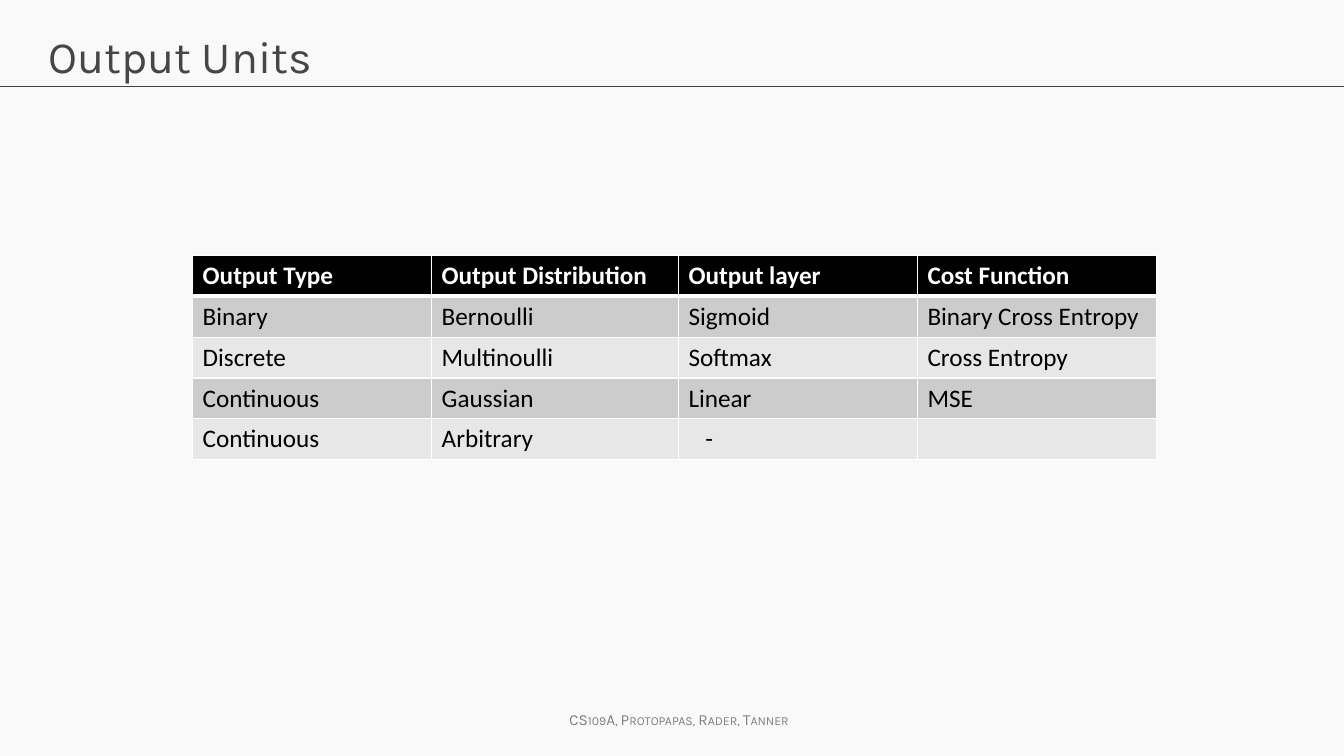
from lxml.etree import SubElement as Sub
from pptx import Presentation
from pptx.dml.color import RGBColor
from pptx.enum.shapes import MSO_CONNECTOR as Conn
from pptx.enum.text import MSO_ANCHOR as Anchor, PP_ALIGN as Align
from pptx.oxml import parse_xml
from pptx.oxml.ns import nsdecls, qn
from pptx.util import Pt

WIDE, HIGH = 960, 540
ROWS = [
    ["Output Type", "Output Distribution", "Output layer", "Cost Function"],
    ["Binary", "Bernoulli", "Sigmoid", "Binary Cross Entropy"],
    ["Discrete", "Multinoulli", "Softmax", "Cross Entropy"],
    ["Continuous", "Gaussian", "Linear", "MSE"],
    ["Continuous", "Arbitrary", "-", ""],
]


def tint(code):
    return RGBColor.from_string(code)


def write(frame, text, font="Calibri", size=18, color="000000", bold=False,
          align=Align.LEFT, caps=False, indent=0):
    para = frame.paragraphs[0]
    para.alignment = align
    if indent:
        para._p.get_or_add_pPr().set("marL", str(Pt(indent)))
    para.font.size = Pt(size)
    if not text:
        return
    run = para.add_run()
    run.text = text
    run.font.name, run.font.size, run.font.bold = font, Pt(size), bold
    run.font.color.rgb = tint(color)
    if caps:
        run._r.get_or_add_rPr().set("cap", "small")


def label(slide, box, text, wrap=True, **style):
    frame = slide.shapes.add_textbox(*map(Pt, box)).text_frame
    frame.word_wrap = wrap
    frame.vertical_anchor = Anchor.TOP
    write(frame, text, **style)


def border(cell, color, **widths):
    props = cell._tc.get_or_add_tcPr()
    for spot, (side, width) in enumerate(widths.items()):
        props.insert(spot, parse_xml(
            f'<a:ln{side} {nsdecls("a")} w="{Pt(width)}"><a:solidFill>'
            f'<a:srgbClr val="{color}"/></a:solidFill></a:ln{side}>'))


def header(slide, box):
    left, top, width, height = box
    # Rule across the slide
    rule = slide.shapes.add_connector(
        Conn.STRAIGHT, Pt(left), Pt(top + height), Pt(left + width), Pt(top + height))
    rule.line.color.rgb = tint("404040")
    rule.line.width = Pt(0.75)
    Sub(rule._element.spPr, qn("a:effectLst"))
    # Title
    label(slide, (left + 27.4, top + 17.3, width - 55, 60.5), "Output Units",
          font="Karla", size=32, color="464646")


def grid(slide, box):
    left, top, width, height = box
    table = slide.shapes.add_table(len(ROWS), len(ROWS[0]), *map(Pt, box)).table
    # The second column is slightly wider than the others
    extra = 5.6
    for num, col in enumerate(table.columns):
        col.width = Pt((width - extra) / len(ROWS[0]) + extra * (num == 1))
    for num, row in enumerate(ROWS):
        table.rows[num].height = Pt(height / len(ROWS))
        head = num == 0
        back = "000000" if head else ("E7E7E7", "CCCCCC")[num % 2]
        for col, text in enumerate(row):
            cell = table.cell(num, col)
            cell.fill.solid()
            cell.fill.fore_color.rgb = tint(back)
            border(cell, "FFFFFF", L=1, R=1, T=3 if num == 1 else 1, B=3 if head else 1)
            write(cell.text_frame, text, bold=head,
                  color="FFFFFF" if head else "000000",
                  indent=12 if text == "-" else 0)


def footer(slide, box):
    label(slide, box, "CS109A, Protopapas, Rader, Tanner", wrap=False,
          font="Karla", size=11, color="808080", align=Align.CENTER, caps=True)


def main():
    deck = Presentation()
    deck.slide_width, deck.slide_height = Pt(WIDE), Pt(HIGH)
    slide = deck.slides.add_slide(deck.slide_layouts[6])
    slide.background.fill.solid()
    slide.background.fill.fore_color.rgb = tint("F9F9F9")
    header(slide, (0, 0, WIDE, 62))
    grid(slide, (137.6, 182.4, 688.5, 146))
    footer(slide, (395, 504, 180, 21))
    deck.save("out.pptx")


if __name__ == "__main__":
    main()
